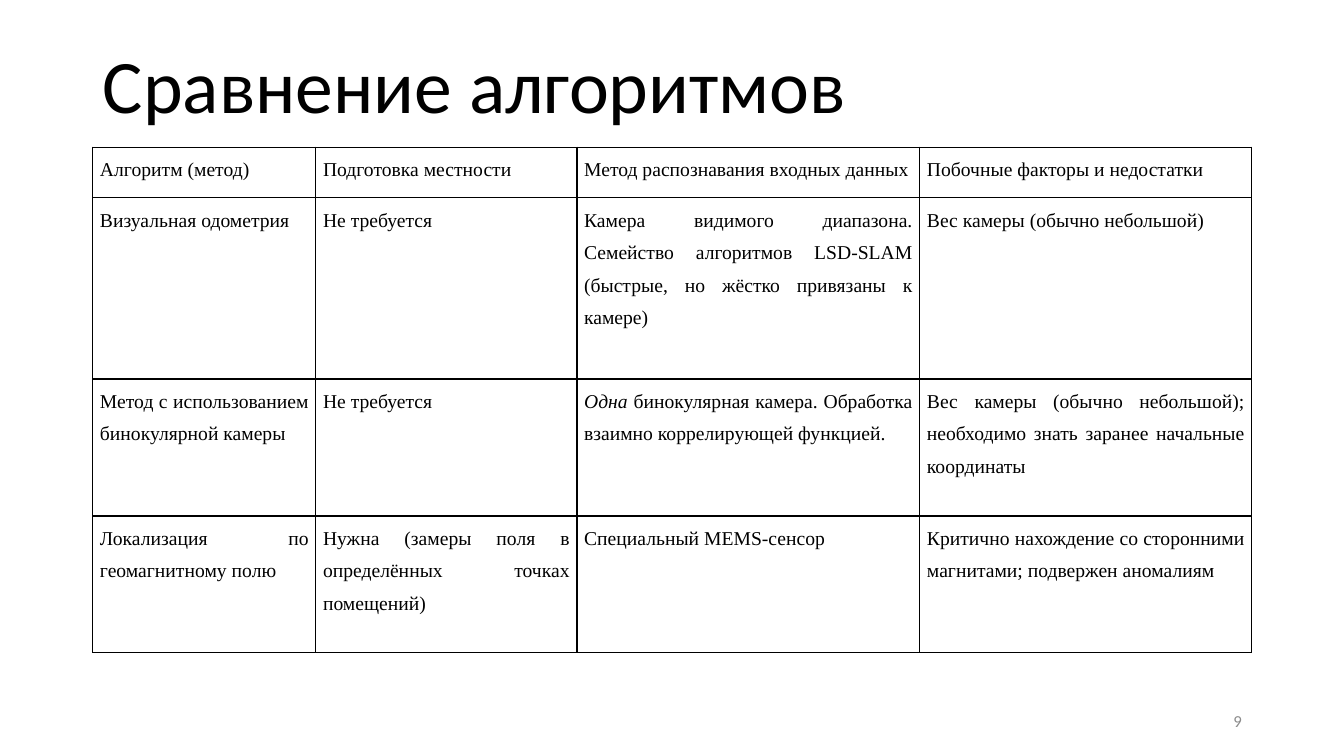
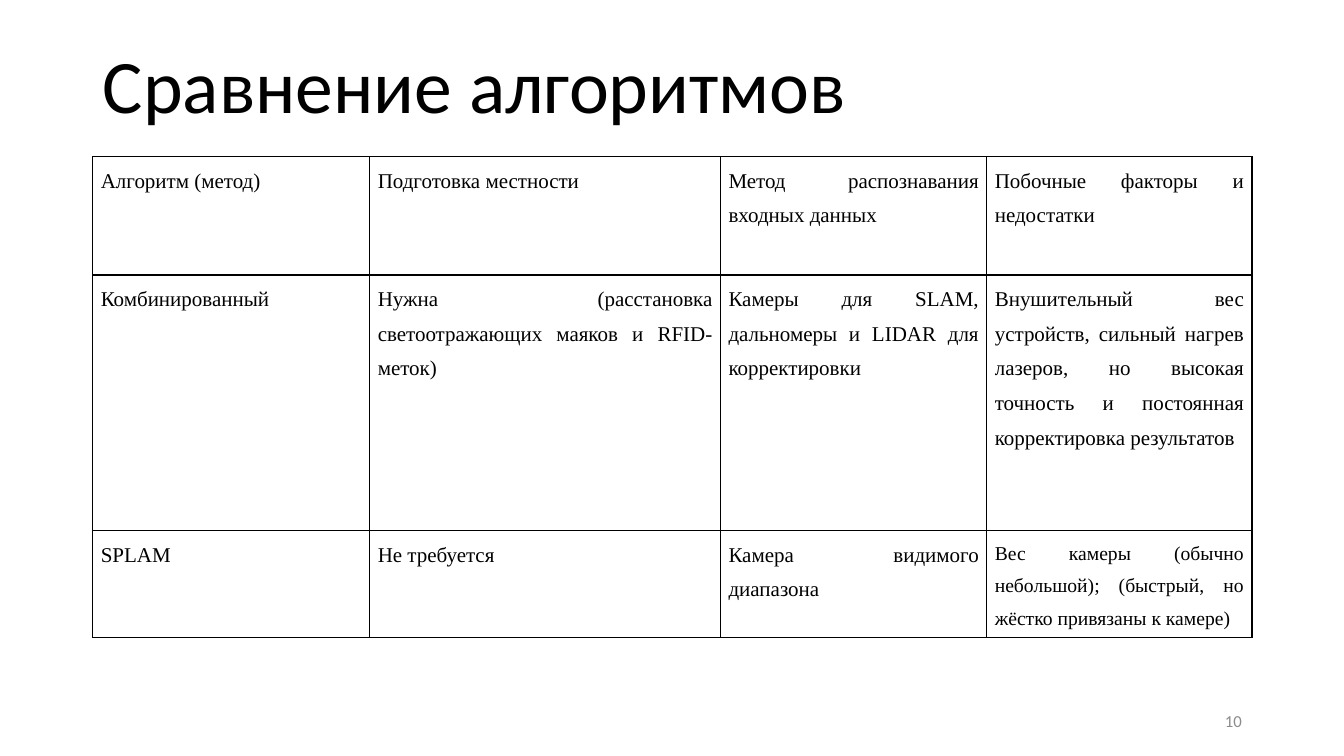
import dataclasses

import lxml.etree
import pptx
import pptx.dml.color
import pptx.enum.text
import pptx.oxml.ns
import pptx.util

Cm = pptx.util.Cm
Pt = pptx.util.Pt
Align = pptx.enum.text.PP_ALIGN
Anchor = pptx.enum.text.MSO_ANCHOR


@dataclasses.dataclass(frozen=True)
class Theme:
    ink: str = "000000"
    grey: str = "8C8C8C"
    sans: str = "Calibri"
    serif: str = "Times New Roman"
    head: int = 54
    body: int = 15
    small: int = 14
    foot: int = 12
    rule: int = 1
    left: float = 2.34
    width: float = 29.21


class Deck:
    """Holds the theme and the current slide."""

    def __init__(self, theme):
        self.theme = theme
        self.file = pptx.Presentation()
        self.file.slide_width = Cm(33.87)
        self.file.slide_height = Cm(19.05)
        self.slide = None

    def font(self, para, name, size, color):
        para.font.name = name
        para.font.size = Pt(size)
        para.font.color.rgb = pptx.dml.color.RGBColor.from_string(color)

    # Slide with its title and page number
    def page(self, title, number):
        self.slide = self.file.slides.add_slide(self.file.slide_layouts[5])
        self.title(title)
        self.number(number)

    def title(self, text):
        look = self.theme
        shape = self.slide.shapes.title
        shape.left, shape.top = Cm(look.left), Cm(0.81)
        shape.width, shape.height = Cm(look.width), Cm(2.59)
        frame = shape.text_frame
        frame.text = text
        frame.auto_size = pptx.enum.text.MSO_AUTO_SIZE.NONE
        frame.vertical_anchor = Anchor.BOTTOM
        para = frame.paragraphs[0]
        para.alignment = Align.LEFT
        para.line_spacing = 0.9
        self.font(para, look.sans, look.head, look.ink)

    def number(self, value):
        look = self.theme
        wide = 7.62
        box = self.slide.shapes.add_textbox(
            Cm(look.left + look.width - wide), Cm(17.65), Cm(wide), Cm(1.02))
        frame = box.text_frame
        frame.word_wrap = True
        frame.vertical_anchor = Anchor.MIDDLE
        para = frame.paragraphs[0]
        para.text = str(value)
        para.alignment = Align.RIGHT
        para.space_after = Pt(6)
        self.font(para, look.sans, look.foot, look.grey)

    # Table with ruled cells
    def table(self, top, cols, rows, data, size, side):
        grid = self.slide.shapes.add_table(
            len(rows), len(cols), Cm(self.theme.left), Cm(top),
            Cm(sum(cols)), Cm(sum(rows))).table
        grid.first_row = grid.horz_banding = False
        for col, width in zip(grid.columns, cols):
            col.width = Cm(width)
        for row, height, texts in zip(grid.rows, rows, data):
            row.height = Cm(height)
            for cell, text in zip(row.cells, texts):
                self.cell(cell, text, size, side)
        return grid

    def cell(self, cell, text, size, side):
        cell.margin_left = cell.margin_right = Cm(side)
        cell.margin_top, cell.margin_bottom = Cm(0.03), Cm(0)
        cell.fill.background()
        para = cell.text_frame.paragraphs[0]
        para.text = text
        para.alignment = Align.JUSTIFY
        para.line_spacing = 1.5
        self.font(para, self.theme.serif, size, self.theme.ink)
        self.border(cell)

    def border(self, cell):
        name = pptx.oxml.ns.qn
        props = cell._tc.get_or_add_tcPr()
        for spot, tag in enumerate(("a:lnL", "a:lnR", "a:lnT", "a:lnB")):
            line = lxml.etree.Element(name(tag), w=str(Pt(self.theme.rule)))
            fill = lxml.etree.SubElement(line, name("a:solidFill"))
            lxml.etree.SubElement(fill, name("a:srgbClr"), val=self.theme.ink)
            props.insert(spot, line)


TITLE = "Сравнение алгоритмов"
HEADS = ["Алгоритм (метод)", "Подготовка местности",
         "Метод распознавания входных данных",
         "Побочные факторы и недостатки"]
FREE = "Не требуется"
SINGLE = [
    HEADS,
    ["Визуальная одометрия", FREE,
     "Камера видимого диапазона. Семейство алгоритмов LSD-SLAM "
     "(быстрые, но жёстко привязаны к камере)",
     "Вес камеры (обычно небольшой)"],
    ["Метод с использованием бинокулярной камеры", FREE, "Одна",
     "Вес камеры (обычно небольшой); необходимо знать заранее "
     "начальные координаты"],
    ["Локализация по геомагнитному полю",
     "Нужна (замеры поля в определённых точках помещений)",
     "Специальный MEMS-сенсор",
     "Критично нахождение со сторонними магнитами; подвержен аномалиям"],
]
MIXED = [
    HEADS,
    ["Комбинированный",
     "Нужна (расстановка светоотражающих маяков и RFID-меток)",
     "Камеры для SLAM, дальномеры и LIDAR для корректировки",
     "Внушительный вес устройств, сильный нагрев лазеров, но высокая "
     "точность и постоянная корректировка результатов"],
    ["SPLAM", FREE, "Камера видимого диапазона",
     "Вес камеры (обычно небольшой); (быстрый, но жёстко привязаны "
     "к камере)"],
]


def main():
    look = Theme()
    deck = Deck(look)

    # Single methods
    deck.page(TITLE, 9)
    grid = deck.table(3.71, [5.62, 6.58, 8.64, 8.37],
                      [1.27, 4.57, 3.45, 3.45], SINGLE, look.small, 0.18)
    para = grid.cell(2, 2).text_frame.paragraphs[0]
    para.runs[0].font.italic = True
    para.add_run().text = (" бинокулярная камера. Обработка взаимно "
                           "коррелирующей функцией.")

    # Combined methods
    deck.page(TITLE, 10)
    grid = deck.table(3.95, [6.98, 8.84, 6.71, 6.68],
                      [2.98, 6.44, 2.67], MIXED, look.body, 0.2)
    last = grid.cell(2, 3).text_frame.paragraphs[0]
    last.font.size = Pt(look.small)

    deck.file.save("out.pptx")


if __name__ == "__main__":
    main()
